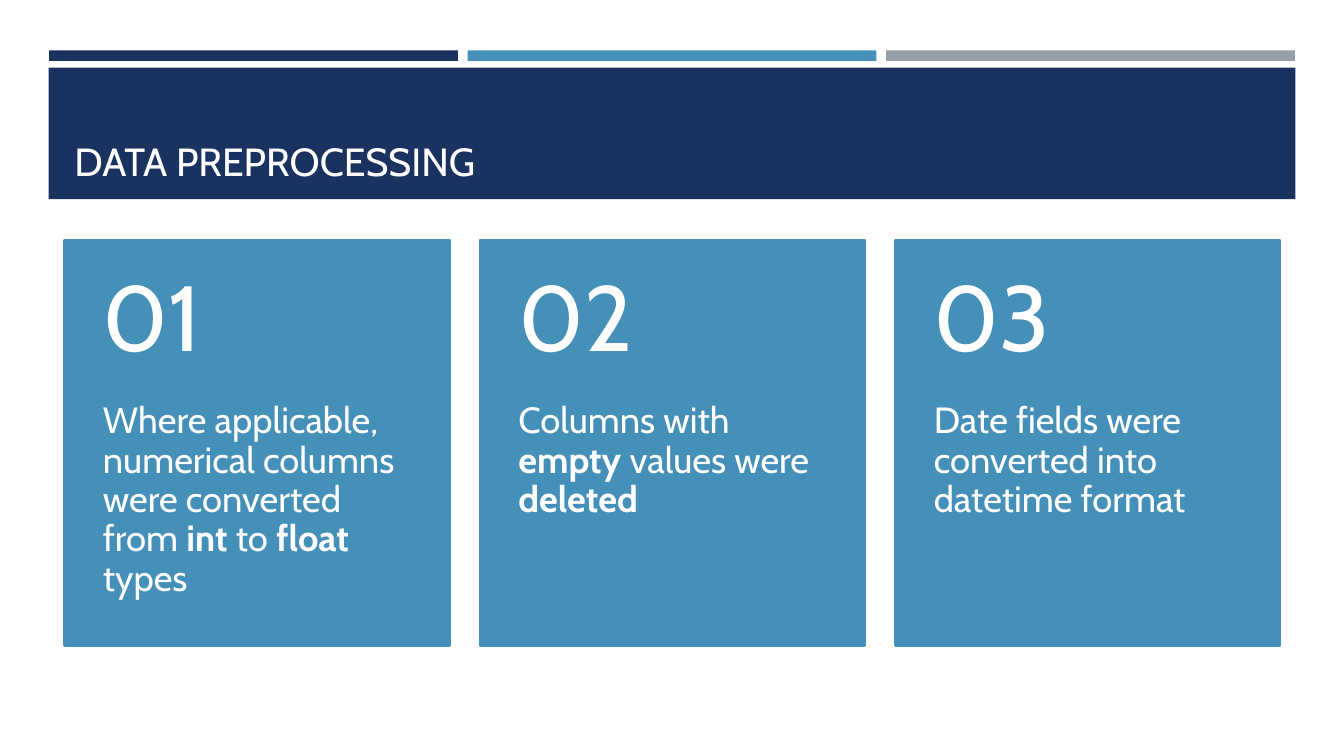
from pptx import Presentation
from pptx.dml.color import RGBColor
from pptx.enum import shapes, text
from pptx.util import Pt

NAVY, BLUE, GREY, WHITE = "1A3260", "4590B8", "969FA7", "FFFFFF"


def rgb(value):
    """Turn a hex string into a colour."""
    return RGBColor.from_string(value)


class Deck:
    """Hold the text style and the current slide."""

    def __init__(self, slide, font, color):
        """Keep the slide and its shared font settings."""
        self.slide, self.font, self.color = slide, font, color

    def rect(self, x, y, w, h, fill, line=None):
        """Draw a filled rectangle with an optional outline."""
        s = self.slide.shapes.add_shape(
            shapes.MSO_SHAPE.RECTANGLE, Pt(x), Pt(y), Pt(w), Pt(h))
        s.shadow.inherit = False
        s.fill.solid()
        s.fill.fore_color.rgb = rgb(fill)
        if line:
            s.line.color.rgb = rgb(fill)
            s.line.width = Pt(line)
        else:
            s.line.fill.background()

    def text(self, x, y, w, h, runs, size, anchor, insets, spacing=1.0):
        """Write one paragraph from (wording, bold) runs."""
        s = self.slide.shapes.add_textbox(Pt(x), Pt(y), Pt(w), Pt(h))
        tf = s.text_frame
        tf.word_wrap = True
        tf.vertical_anchor = anchor
        tf.margin_left, tf.margin_top, tf.margin_right, tf.margin_bottom = map(Pt, insets)
        p = tf.paragraphs[0]
        p.line_spacing = spacing
        for wording, bold in runs:
            r = p.add_run()
            r.text = wording
            r.font.name = self.font
            r.font.size = Pt(size)
            r.font.bold = bold
            r.font.color.rgb = rgb(self.color)

    def card(self, x, y, number, runs):
        """Draw a numbered card with its description."""
        w, h, head = 275, 289.5, 116
        self.rect(x, y, w, h, BLUE, line=1.75)
        self.text(x, y + head, w, h - head, runs, 26,
                  text.MSO_ANCHOR.TOP, (27.5, 0, 27.5, 26), 0.9)
        self.text(x, y, w, head, [(f"{number:02}", False)], 66,
                  text.MSO_ANCHOR.MIDDLE, (27.5, 13, 27.5, 13), 0.9)


def main():
    """Build the data preprocessing slide."""
    prs = Presentation()
    prs.slide_width, prs.slide_height = Pt(960), Pt(540)
    deck = Deck(prs.slides.add_slide(prs.slide_layouts[6]), "Cabin", WHITE)

    deck.rect(34.75, 48.25, 890.5, 94, NAVY)
    deck.text(46, 55.25, 868, 80, [("DATA PREPROCESSING", False)], 28,
              text.MSO_ANCHOR.BOTTOM, (7.2, 3.6, 7.2, 3.6))
    for i, color in enumerate((NAVY, BLUE, GREY)):
        deck.rect(35 + 299 * i, 36, 292, 7.5, color)

    steps = (
        [("Where applicable, numerical columns were converted from ", False),
         ("int", True), (" to ", False), ("float", True), (" types", False)],
        [("Columns with ", False), ("empty", True),
         (" values were ", False), ("deleted", True)],
        [("Date fields were converted into datetime format", False)],
    )
    for i, runs in enumerate(steps):
        deck.card(46 + 296.75 * i, 171.5, i + 1, runs)

    prs.save("out.pptx")


if __name__ == "__main__":
    main()
